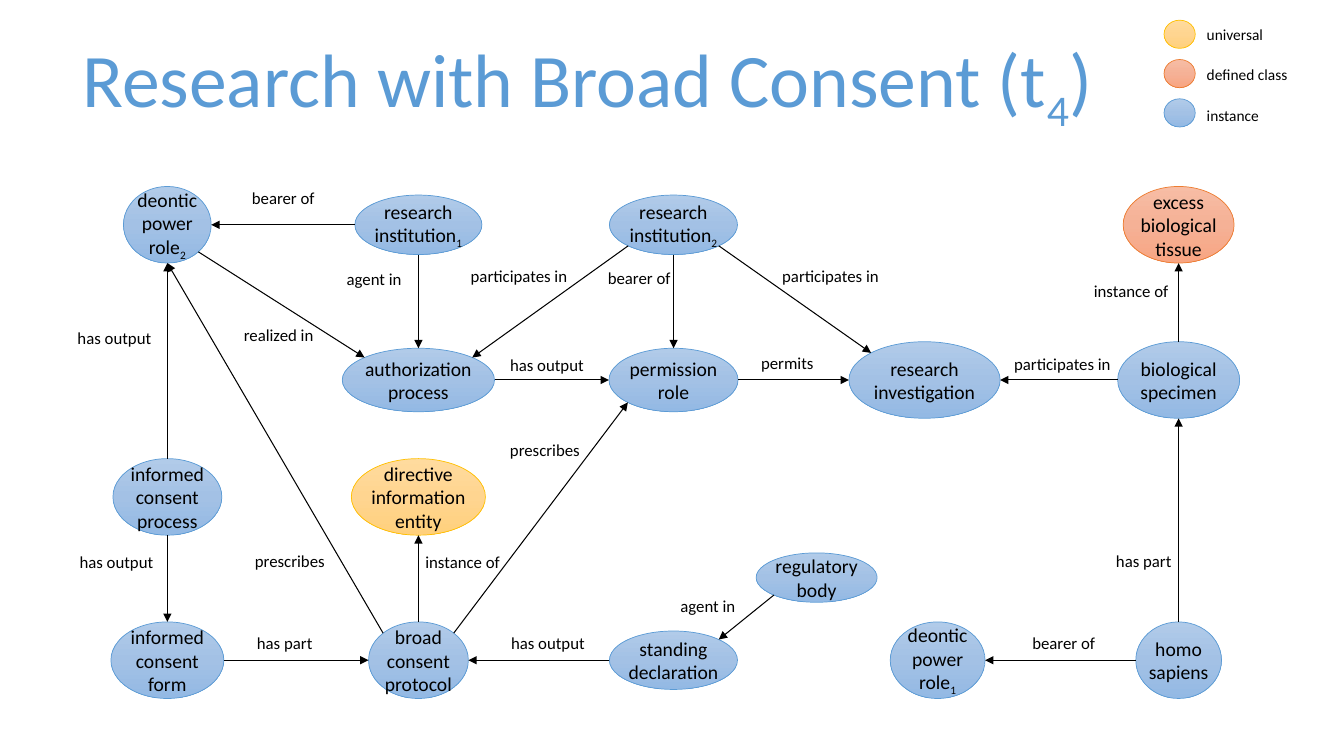
from copy import deepcopy
from dataclasses import dataclass, field
from math import cos, radians, sin

from lxml import etree
from pptx import Presentation
from pptx.dml.color import RGBColor
from pptx.enum.shapes import MSO_CONNECTOR, MSO_SHAPE
from pptx.enum.text import MSO_ANCHOR, MSO_AUTO_SIZE, PP_ALIGN
from pptx.oxml.ns import qn
from pptx.util import Inches, Pt

ELLIPSE = MSO_SHAPE.OVAL
STRAIGHT = MSO_CONNECTOR.STRAIGHT
MIDDLE = MSO_ANCHOR.MIDDLE
CENTER, LEFT = PP_ALIGN.CENTER, PP_ALIGN.LEFT
GROW = MSO_AUTO_SIZE.SHAPE_TO_FIT_TEXT
TOP, TOP_LEFT, WEST, LOW_LEFT, BOTTOM, LOW_RIGHT, EAST, TOP_RIGHT = range(8)


@dataclass
class Theme:
    font: str = "Calibri"
    ink: str = "000000"
    accent: str = "5B9BD5"
    title: int = 54
    node: int = 14
    label: int = 12
    legend: int = 11
    outline: float = 0.5
    arrow: float = 0.75
    kinds: dict = field(default_factory=lambda: {
        "universal": ("FFC000", ("FFDB9E", "FFD590", "FFD07C")),
        "defined class": ("ED7D31", ("F7BDA5", "F5B196", "F8A582")),
        "instance": ("5B9BD5", ("B1CBE9", "A3C1E5", "93B9E4")),
    })


class Diagram:
    """Draws ontology nodes, relations and text on one slide."""

    def __init__(self, s, theme):
        self.s, self.theme = s, theme

    def add_runs(self, tf, text, size, color, align=LEFT):
        p = tf.paragraphs[0]
        p.alignment = align
        for i, part in enumerate(text.split("_")):
            runs = [(part, False)] if i == 0 else [(part[0], True), (part[1:], False)]
            for piece, lowered in runs:
                if not piece:
                    continue
                r = p.add_run()
                r.text = piece
                r.font.name, r.font.size = self.theme.font, Pt(size)
                r.font.color.rgb = RGBColor.from_string(color)
                if lowered:
                    r.font._element.set("baseline", "-25000")

    def text(self, text, x, y, w, h, size, color, wrap=False):
        tf = self.s.shapes.add_textbox(Inches(x), Inches(y), Inches(w), Inches(h)).text_frame
        tf.word_wrap, tf.auto_size = wrap, GROW
        self.add_runs(tf, text, size, color)

    def ellipse(self, cx, cy, w, h, kind, text=""):
        sp = self.s.shapes.add_shape(
            ELLIPSE, Inches(cx - w / 2), Inches(cy - h / 2), Inches(w), Inches(h))
        sp.shadow.inherit = False
        outline, shades = self.theme.kinds[kind]
        sp.fill.gradient()
        sp.fill.gradient_angle = 270
        stops = sp._element.spPr.find(".//" + qn("a:gsLst"))
        stops.append(deepcopy(stops[0]))
        for i, (stop, shade) in enumerate(zip(sp.fill.gradient_stops, shades)):
            stop.position = i / 2
            stop.color.rgb = RGBColor.from_string(shade)
        sp.line.color.rgb = RGBColor.from_string(outline)
        sp.line.width = Pt(self.theme.outline)
        if text:
            tf = sp.text_frame
            tf.margin_left = tf.margin_right = tf.margin_top = tf.margin_bottom = 0
            tf.word_wrap, tf.vertical_anchor = True, MIDDLE
            self.add_runs(tf, text, self.theme.node, self.theme.ink, CENTER)
        return sp

    def site(self, sp, index):
        angle = radians(90 + 45 * index)
        return (int(sp.left + sp.width / 2 * (1 + cos(angle))),
                int(sp.top + sp.height / 2 * (1 - sin(angle))))

    def relation(self, start, start_site, end, end_site):
        c = self.s.shapes.add_connector(
            STRAIGHT, *self.site(start, start_site), *self.site(end, end_site))
        c.line.color.rgb = RGBColor.from_string(self.theme.ink)
        c.line.width = Pt(self.theme.arrow)
        spPr = c._element.spPr
        etree.SubElement(spPr.find(qn("a:ln")), qn("a:tailEnd"), type="triangle")
        etree.SubElement(spPr, qn("a:effectLst"))
        glue = c._element.nvCxnSpPr.cNvCxnSpPr
        for tag, sp, index in (("a:stCxn", start, start_site), ("a:endCxn", end, end_site)):
            etree.SubElement(glue, qn(tag), id=str(sp.shape_id), idx=str(index))


COLUMNS = (1.66, 4.15, 6.68, 9.17, 11.69)
ROWS = (2.23, 3.77, 4.93, 6.55)
TALL = 0.76

NODES = {
    "power2": ("deontic power role_2", COLUMNS[0], ROWS[0], 0.87, TALL, "instance"),
    "inst1": ("research institution_1", COLUMNS[1], ROWS[0], 1.26, 0.59, "instance"),
    "inst2": ("research institution_2", COLUMNS[2], ROWS[0], 1.27, 0.59, "instance"),
    "tissue": ("excess biological tissue", COLUMNS[4], ROWS[0], 1.1, TALL, "defined class"),
    "auth": ("authorization process", COLUMNS[1], ROWS[1], 1.51, 0.63, "instance"),
    "permission": ("permission role", COLUMNS[2], ROWS[1], 1.28, 0.63, "instance"),
    "study": ("research investigation", COLUMNS[3], ROWS[1], 1.5, TALL, "instance"),
    "specimen": ("biological specimen", COLUMNS[4], ROWS[1], 1.21, TALL, "instance"),
    "process": ("informed consent process", COLUMNS[0], ROWS[2], 1.08, TALL, "instance"),
    "entity": ("directive information entity", COLUMNS[1], ROWS[2], 1.33, TALL, "universal"),
    "body": ("regulatory body", 8.1, 5.73, 1.2, 0.49, "instance"),
    "form": ("informed consent form", COLUMNS[0], ROWS[3], 1.12, TALL, "instance"),
    "protocol": ("broad consent protocol", COLUMNS[1], ROWS[3], 0.99, TALL, "instance"),
    "standing": ("standing declaration", COLUMNS[2], ROWS[3], 1.27, 0.58, "instance"),
    "power1": ("deontic power role_1", 9.3, ROWS[3], 0.94, TALL, "instance"),
    "human": ("homo sapiens", COLUMNS[4], ROWS[3], 0.85, TALL, "instance"),
}

RELATIONS = [
    ("process", TOP, "power2", BOTTOM, "has output", 0.67, 3.2),
    ("process", BOTTOM, "form", TOP, "has output", 0.69, 5.42),
    ("protocol", TOP_LEFT, "power2", BOTTOM, "prescribes", 2.43, 5.41),
    ("inst1", WEST, "power2", EAST, "bearer of", 2.4, 1.81),
    ("power2", LOW_RIGHT, "auth", TOP_LEFT, "realized in", 2.32, 3.17),
    ("inst1", BOTTOM, "auth", TOP, "agent in", 3.34, 2.62),
    ("inst2", LOW_LEFT, "auth", TOP_RIGHT, "participates in", 4.57, 2.59),
    ("inst2", BOTTOM, "permission", TOP, "bearer of", 5.93, 2.61),
    ("inst2", LOW_RIGHT, "study", TOP_LEFT, "participates in", 7.66, 2.59),
    ("auth", EAST, "permission", WEST, "has output", 4.96, 3.47),
    ("permission", EAST, "study", WEST, "permits", 7.45, 3.45),
    ("specimen", WEST, "study", EAST, "participates in", 9.96, 3.46),
    ("specimen", TOP, "tissue", BOTTOM, "instance of", 10.75, 2.74),
    ("human", TOP, "specimen", BOTTOM, "has part", 10.97, 5.41),
    ("human", WEST, "power1", EAST, "bearer of", 10.14, 6.23),
    ("body", LOW_LEFT, "standing", TOP_RIGHT, "agent in", 6.65, 5.86),
    ("standing", WEST, "protocol", EAST, "has output", 4.97, 6.23),
    ("form", EAST, "protocol", WEST, "has part", 2.45, 6.23),
    ("protocol", TOP, "entity", BOTTOM, "instance of", 4.12, 5.42),
    ("protocol", TOP_RIGHT, "permission", LOW_LEFT, "prescribes", 4.96, 4.31),
]

LABEL_WIDTHS = {
    "has output": 0.95, "prescribes": 0.9, "bearer of": 0.83, "realized in": 0.9,
    "agent in": 0.75, "participates in": 1.17, "permits": 0.73, "instance of": 0.95,
    "has part": 0.76,
}
LEGEND_WIDTHS = {"universal": 0.77, "defined class": 1.01, "instance": 0.72}

prs = Presentation()
prs.slide_width, prs.slide_height = Inches(13.33), Inches(7.5)
theme = Theme()
diagram = Diagram(prs.slides.add_slide(prs.slide_layouts[6]), theme)

diagram.text("Research with Broad Consent (t_4)", 0.72, 0.27, 10.39, 1.01,
             theme.title, theme.accent, wrap=True)

for i, (kind, width) in enumerate(LEGEND_WIDTHS.items()):
    diagram.ellipse(11.7, 0.34 + 0.39 * i, 0.31, 0.28, kind)
    diagram.text(kind, 11.87, 0.2 + 0.4 * i, width, 0.29, theme.legend, theme.ink)

shapes = {key: diagram.ellipse(cx, cy, w, h, kind, text)
          for key, (text, cx, cy, w, h, kind) in NODES.items()}

for start, start_site, end, end_site, label, x, y in RELATIONS:
    diagram.relation(shapes[start], start_site, shapes[end], end_site)
    diagram.text(label, x, y, LABEL_WIDTHS[label], 0.3, theme.label, theme.ink)

prs.save("out.pptx")
